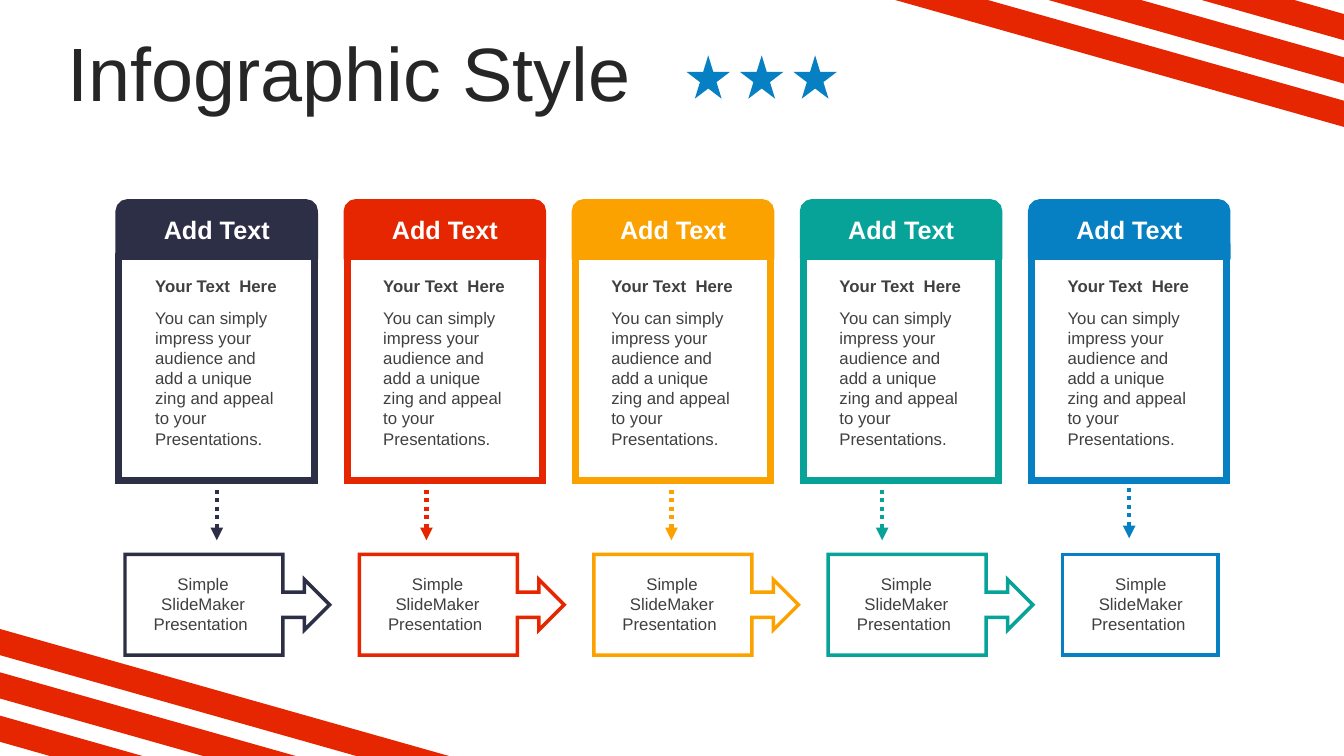
"""Build a five-column infographic slide with cards, arrows and a process row."""
from dataclasses import dataclass

from lxml import etree
from pptx import Presentation
from pptx import util as u
from pptx.dml.color import RGBColor
from pptx.enum import shapes, text
from pptx.oxml import ns

TITLE = "Infographic Style"
HEADER = "Add Text"
LEAD = "Your Text  Here"
BODY = ("You can simply impress your audience and add a unique "
        "zing and appeal to your Presentations.")
STEP = "Simple SlideMaker Presentation "
COLUMNS = [
    {"color": "2C2F45", "arrow": (2.15, 4.86)},
    {"color": "E62601", "arrow": (4.23, 4.86)},
    {"color": "FBA200", "arrow": (6.66, 4.86)},
    {"color": "07A398", "arrow": (8.75, 4.86)},
    {"color": "0680C3", "arrow": (11.2, 4.84)},
]


@dataclass(frozen=True)
class Theme:
    """Colours, font and type sizes of the slide."""
    font: str = "Arial"
    title: str = "262626"
    body: str = "404040"
    white: str = "FFFFFF"
    stripe: str = "E62601"
    star: str = "0680C3"
    title_size: int = 54
    header_size: int = 18
    body_size: int = 12
    card_line: float = 5
    step_line: float = 2.5
    arrow_line: float = 3


THEME = Theme()
WIDTH, HEIGHT = 13.33, 7.5
STRIPE_TOPS, STRIPE_DEPTH, STRIPE_SLOPE = (7.1, 6.67, 6.24), 0.26, 0.283
STAR_LEFT, STAR_TOP, STAR_SIZE, STAR_PITCH = 6.81, 0.55, 0.43, 0.53
CARD_LEFT, CARD_PITCH, CARD_WIDTH = 1.18, 2.2625, 1.94
HEADER_TOP, HEADER_HEIGHT, CARD_HEIGHT = 2.01, 0.53, 2.23
TEXT_INSET, TEXT_WIDTH = 0.26, 1.42
STEP_LEFT, STEP_PITCH, STEP_TOP, STEP_HEIGHT = 1.24, 2.325, 5.5, 1
CALLOUT_WIDTH, LAST_WIDTH = 2.03, 1.54
ARROW_LENGTH = 0.5
CALLOUT_SHAPE = (0.25, 0.25, 0.25, 0.772)


def inches(*values):
    return [u.Inches(v) for v in values]


def add_ln_part(sp, tag, **attrs):
    etree.SubElement(sp.line._get_or_add_ln(), ns.qn(tag), attrs)


def paint(sp, fill, line=None, width=0):
    sp.shadow.inherit = False
    sp.fill.solid()
    sp.fill.fore_color.rgb = RGBColor.from_string(fill)
    if line is None:
        sp.line.fill.background()
        return
    sp.line.color.rgb = RGBColor.from_string(line)
    sp.line.width = u.Pt(width)
    add_ln_part(sp, "a:miter", lim="800000")


def add_shape(s, kind, box, fill, line=None, width=0):
    sp = s.shapes.add_shape(kind, *inches(*box))
    paint(sp, fill, line, width)
    return sp


def style_text(tf, content, size, color, bold=False, align=text.PP_ALIGN.LEFT):
    tf.text = content
    tf.word_wrap = True
    p = tf.paragraphs[0]
    p.alignment = align
    font = p.runs[0].font
    font.name, font.size, font.bold = THEME.font, u.Pt(size), bold
    font.color.rgb = RGBColor.from_string(color)
    return p


def add_text(s, box, content, size, color, **style):
    tf = s.shapes.add_textbox(*inches(*box)).text_frame
    style_text(tf, content, size, color, **style)
    tf.auto_size = text.MSO_AUTO_SIZE.SHAPE_TO_FIT_TEXT


def add_stripes(s, mirrored):
    def place(x, y):
        return inches(WIDTH - x, HEIGHT - y) if mirrored else inches(x, y)

    builder = s.shapes.build_freeform(*place(0, STRIPE_TOPS[0]))
    for i, top in enumerate(STRIPE_TOPS):
        low = top + STRIPE_DEPTH
        if i:
            builder.move_to(*place(0, top))
        builder.add_line_segments([
            place((HEIGHT - top) / STRIPE_SLOPE, HEIGHT),
            place((HEIGHT - low) / STRIPE_SLOPE, HEIGHT),
            place(0, low),
        ], close=True)
    paint(builder.convert_to_shape(), THEME.stripe)


def add_title(s):
    title = s.shapes.title
    title.left, title.top, title.width, title.height = inches(0.57, 0.37, 12.08, 0.79)
    tf = title.text_frame
    tf.vertical_anchor = text.MSO_ANCHOR.MIDDLE
    p = style_text(tf, TITLE, THEME.title_size, THEME.title)
    p.line_spacing = 0.9
    tf.auto_size = text.MSO_AUTO_SIZE.NONE


def add_card(s, index, color):
    left = CARD_LEFT + index * CARD_PITCH
    split = HEADER_TOP + HEADER_HEIGHT
    kind = shapes.MSO_SHAPE
    add_shape(s, kind.RECTANGLE, (left, split, CARD_WIDTH, CARD_HEIGHT),
              THEME.white, color, THEME.card_line)
    add_shape(s, kind.ROUND_2_SAME_RECTANGLE, (left, HEADER_TOP, CARD_WIDTH, HEADER_HEIGHT),
              color, color, THEME.card_line)
    x = left + TEXT_INSET
    add_text(s, (x, 2.08, TEXT_WIDTH, 0.4), HEADER, THEME.header_size, THEME.white,
             bold=True, align=text.PP_ALIGN.CENTER)
    add_text(s, (x, 2.69, TEXT_WIDTH, 0.3), LEAD, THEME.body_size, THEME.body, bold=True)
    add_text(s, (x, 3, TEXT_WIDTH, 1.51), BODY, THEME.body_size, THEME.body)


def add_step(s, index, color, last):
    left = STEP_LEFT + index * STEP_PITCH
    kind = shapes.MSO_SHAPE.RECTANGLE if last else shapes.MSO_SHAPE.RIGHT_ARROW_CALLOUT
    width = LAST_WIDTH if last else CALLOUT_WIDTH
    sp = add_shape(s, kind, (left, STEP_TOP, width, STEP_HEIGHT),
                   THEME.white, color, THEME.step_line)
    if not last:
        for i, value in enumerate(CALLOUT_SHAPE):
            sp.adjustments[i] = value
    add_text(s, (left + 0.17, STEP_TOP + 0.14, 1.21, 0.71), STEP, THEME.body_size,
             THEME.body, align=text.PP_ALIGN.CENTER)


def add_arrow(s, x, y, color):
    cx = s.shapes.add_connector(shapes.MSO_CONNECTOR.STRAIGHT,
                                *inches(x, y, x, y + ARROW_LENGTH))
    cx.line.color.rgb = RGBColor.from_string(color)
    cx.line.width = u.Pt(THEME.arrow_line)
    add_ln_part(cx, "a:prstDash", val="sysDot")
    add_ln_part(cx, "a:tailEnd", type="triangle")
    etree.SubElement(cx._element.spPr, ns.qn("a:effectLst"))


def main():
    prs = Presentation()
    prs.slide_width, prs.slide_height = inches(WIDTH, HEIGHT)
    s = prs.slides.add_slide(prs.slide_layouts.get_by_name("Title Only"))
    for mirrored in (False, True):
        add_stripes(s, mirrored)
    add_title(s)
    for i in range(3):
        add_shape(s, shapes.MSO_SHAPE.STAR_5_POINT,
                  (STAR_LEFT + i * STAR_PITCH, STAR_TOP, STAR_SIZE, STAR_SIZE), THEME.star)
    for i, column in enumerate(COLUMNS):
        add_card(s, i, column["color"])
        add_step(s, i, column["color"], last=i == len(COLUMNS) - 1)
        add_arrow(s, *column["arrow"], column["color"])
    prs.save("out.pptx")


if __name__ == "__main__":
    main()
